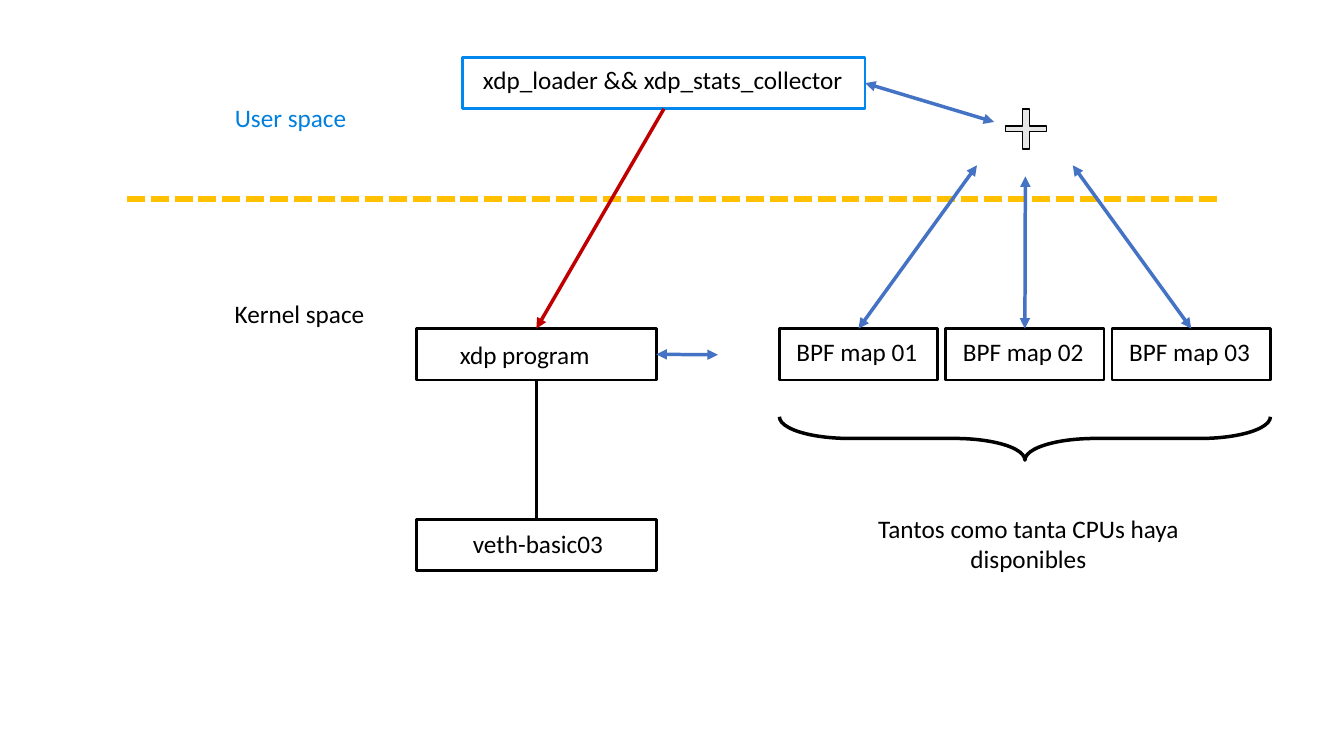
from lxml import etree
from pptx import Presentation
from pptx.dml.color import RGBColor
from pptx.enum.dml import MSO_LINE
from pptx.enum.shapes import MSO_CONNECTOR, MSO_SHAPE
from pptx.enum.text import MSO_ANCHOR, PP_ALIGN
from pptx.oxml.ns import qn
from pptx.util import Inches, Pt

RECT, BRACE, PLUS = MSO_SHAPE.RECTANGLE, MSO_SHAPE.RIGHT_BRACE, MSO_SHAPE.CROSS
STRAIGHT, DASH = MSO_CONNECTOR.STRAIGHT, MSO_LINE.SQUARE_DOT
LEFT, CENTER, TOP_ANCHOR = PP_ALIGN.LEFT, PP_ALIGN.CENTER, MSO_ANCHOR.TOP
TOP, BOTTOM, RIGHT = 0, 2, 3

BLACK, BLUE, RED, GOLD = "000000", "4472C4", "C00000", "FFC000"
BOX_H = 0.51
MAP_X, MAP_Y, MAP_W, MAP_STEP = 7.73, 3.26, 1.57, 1.65
PROGRAM_X, PROGRAM_W = 4.13, 2.38
MAPS = ["BPF map 01", "BPF map 02", "BPF map 03"]

BOXES = {
    "loader": ("xdp_loader && xdp_stats_collector", 4.59, 0.57, 3.99, "0088EE", 0.2, 0.07),
    "program": ("xdp program", PROGRAM_X, MAP_Y, PROGRAM_W, BLACK, 0.43, 0.11),
    "veth": ("veth-basic03", PROGRAM_X, 5.15, PROGRAM_W, BLACK, 0.56, 0.09),
}
for i, name in enumerate(MAPS):
    BOXES[name] = (name, MAP_X + i * MAP_STEP, MAP_Y, MAP_W, BLACK, 0.17, 0.08)

LABELS = [
    ("User space", 2.23, 0.97, 2.52, 0.41, "007FDE", LEFT),
    ("Kernel space", 2.23, 2.91, 2.13, 0.4, BLACK, LEFT),
    ("Tantos como tanta CPUs haya disponibles", 8.45, 5.04, 3.45, 0.71, BLACK, CENTER),
]

LINKS = [
    (("program", BOTTOM), ("veth", TOP), BLACK, 2, ""),
    (("loader", BOTTOM), ("program", TOP), RED, 2.5, "tail"),
    (("program", RIGHT), (7.12, 3.52), BLUE, 2.5, "head tail"),
    ((9.86, 1.21), ("loader", RIGHT), BLUE, 2.5, "head tail"),
]
for name, start in zip(MAPS, [(9.69, 1.64), (10.17, 1.75), (10.64, 1.64)]):
    LINKS.append((start, (name, TOP), BLUE, 2.5, "head tail"))


def rgb(value):
    return RGBColor.from_string(value)


def write(shape, text, color=BLACK, align=LEFT, left=0.1, top=0.05):
    tf = shape.text_frame
    tf.word_wrap = True
    tf.vertical_anchor = TOP_ANCHOR
    tf.margin_left, tf.margin_top = Inches(left), Inches(top)
    tf.margin_right = tf.margin_bottom = Inches(0.05)
    p = tf.paragraphs[0]
    p.alignment = align
    r = p.add_run()
    r.text = text
    r.font.name, r.font.size = "Calibri", Pt(18)
    r.font.color.rgb = rgb(color)


def add_outline(s, kind, x, y, w, h, color=BLACK, width=2, fill=None):
    sp = s.shapes.add_shape(kind, Inches(x), Inches(y), Inches(w), Inches(h))
    sp.shadow.inherit = False
    if fill:
        sp.fill.solid()
        sp.fill.fore_color.rgb = rgb(fill)
    else:
        sp.fill.background()
    sp.line.color.rgb = rgb(color)
    sp.line.width = Pt(width)
    return sp


def add_line(s, start, end, color, width, arrows, boxes):
    c = s.shapes.add_connector(STRAIGHT, 0, 0, 0, 0)
    if start[0] in boxes:
        c.begin_connect(boxes[start[0]], start[1])
    else:
        c.begin_x, c.begin_y = map(Inches, start)
    if end[0] in boxes:
        c.end_connect(boxes[end[0]], end[1])
    else:
        c.end_x, c.end_y = map(Inches, end)
    c.line.color.rgb = rgb(color)
    c.line.width = Pt(width)
    ln = c.line._get_or_add_ln()
    for arrow in arrows.split():
        etree.SubElement(ln, qn(f"a:{arrow}End"), type="triangle")
    etree.SubElement(c._element.spPr, qn("a:effectLst"))
    return c


def main():
    prs = Presentation()
    prs.slide_width, prs.slide_height = Inches(13.33), Inches(7.5)
    s = prs.slides.add_slide(prs.slide_layouts[6])

    border = add_line(s, (1.26, 1.97), (12.07, 1.97), GOLD, 4.25, "", {})
    border.line.dash_style = DASH

    for text, x, y, w, h, color, align in LABELS:
        label = s.shapes.add_textbox(Inches(x), Inches(y), Inches(w), Inches(h))
        write(label, text, color, align)

    boxes = {}
    for name, (text, x, y, w, color, left, top) in BOXES.items():
        boxes[name] = add_outline(s, RECT, x, y, w, BOX_H, color)
        write(boxes[name], text, left=left, top=top)

    span, depth = 2 * MAP_STEP + MAP_W, 0.43
    brace = add_outline(s, BRACE, MAP_X + (span - depth) / 2, 4.35 - span / 2, depth, span, width=2.5)
    brace.rotation = 90
    brace.adjustments[0], brace.adjustments[1] = 1.62, 0.5

    plus = add_outline(s, PLUS, 9.97, 1.08, 0.41, 0.4, width=1, fill="E7E6E6")
    plus.adjustments[0] = 0.43

    for start, end, color, width, arrows in LINKS:
        add_line(s, start, end, color, width, arrows, boxes)

    prs.save("out.pptx")


if __name__ == "__main__":
    main()
